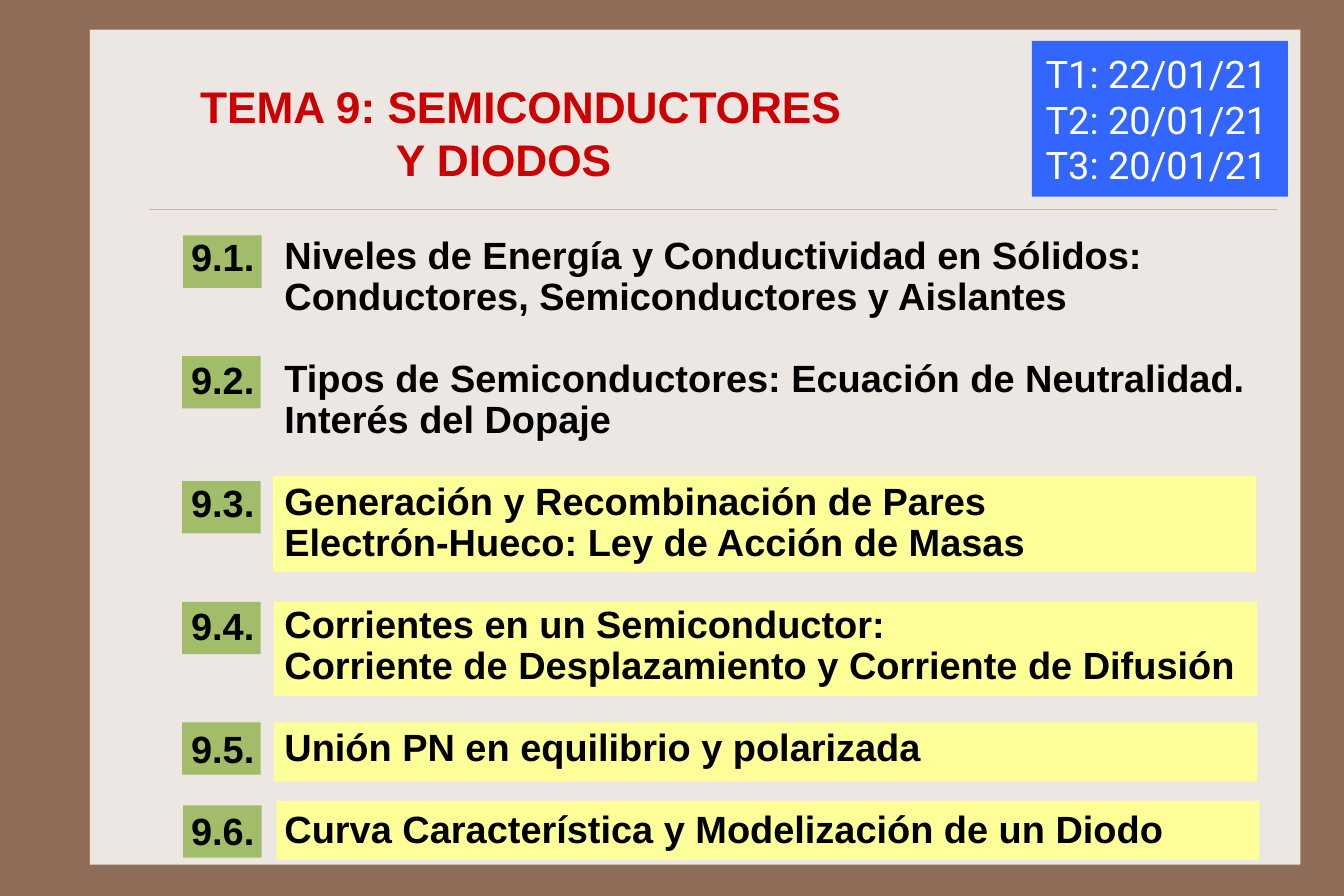
from lxml import etree
from pptx import Presentation
from pptx.dml.color import RGBColor
from pptx.enum.shapes import MSO_CONNECTOR, MSO_SHAPE
from pptx.enum.text import MSO_ANCHOR, MSO_AUTO_SIZE, PP_ALIGN
from pptx.oxml.ns import qn
from pptx.util import Inches, Pt

RECTANGLE = MSO_SHAPE.RECTANGLE
STRAIGHT = MSO_CONNECTOR.STRAIGHT
TOP, MIDDLE = MSO_ANCHOR.TOP, MSO_ANCHOR.MIDDLE
LEFT = PP_ALIGN.LEFT
NO_AUTOFIT = MSO_AUTO_SIZE.NONE

COLORS = {
    "border": "906D58", "page": "EDE7E3", "rule": "CBBD83",
    "title": "CC0000", "text": "000000", "badge": "A1BD69",
    "highlight": "FFFF99", "dates": "3366FF", "dates_text": "FFFFFF",
}
LINE = 26  # points taken by one line of the agenda

# number, free lines above it, topic, badge (left, top),
# highlight (left, top, height), all measured from the corner of the agenda
TOPICS = [
    ("9.1.", 0, ["Niveles de Energía y Conductividad en Sólidos:",
                 "Conductores, Semiconductores y Aislantes"],
     (0.04, 0.04), None),
    ("9.2.", 2, ["Tipos de Semiconductores: Ecuación de Neutralidad. "
                 "Interés del Dopaje"], (0.03, 1.1), None),
    ("9.3.", 2, ["Generación y Recombinación de Pares",
                 "Electrón-Hueco: Ley de Acción de Masas"],
     (0.03, 2.2), (0.83, 2.15, 0.85)),
    ("9.4.", 2, ["Corrientes en un Semiconductor:",
                 "Corriente de Desplazamiento y Corriente de Difusión"],
     (0.03, 3.26), (0.84, 3.26, 0.83)),
    ("9.5.", 2, ["Unión PN en equilibrio y polarizada"],
     (0.03, 4.32), (0.84, 4.32, 0.52)),
    ("9.6.", 1, ["Curva Característica y Modelización de un Diodo"],
     (0.04, 5.05), (0.86, 5.01, 0.52)),
]


def rgb(name):
    return RGBColor.from_string(COLORS[name])


def place(shape, left, top, width, height):
    shape.left, shape.top = Inches(left), Inches(top)
    shape.width, shape.height = Inches(width), Inches(height)


def bring_to_front(shape):
    shape.element.getparent().append(shape.element)


def add_block(slide, left, top, width, height, color):
    """Add a plain filled rectangle."""
    block = slide.shapes.add_shape(RECTANGLE, Inches(left), Inches(top),
                                   Inches(width), Inches(height))
    block.shadow.inherit = False
    block.fill.solid()
    block.fill.fore_color.rgb = rgb(color)
    block.line.fill.background()
    return block


def write(shape, lines, size, color, font="Arial", bold=False, spacing=1.0,
          anchor=TOP, insets=(0.11, 0.05), wrap=True):
    """Write (text, space before in points, left margin in inches) lines."""
    frame = shape.text_frame
    frame.auto_size = NO_AUTOFIT
    frame.word_wrap = wrap
    frame.vertical_anchor = anchor
    frame.margin_left = frame.margin_right = Inches(insets[0])
    frame.margin_top = frame.margin_bottom = Inches(insets[1])
    for index, (text, space_before, margin) in enumerate(lines):
        paragraph = frame.paragraphs[0] if index == 0 else frame.add_paragraph()
        paragraph.text = text
        paragraph.alignment = LEFT
        paragraph.line_spacing = spacing
        paragraph.space_before = Pt(space_before)
        paragraph.space_after = Pt(0)
        properties = paragraph._p.get_or_add_pPr()
        properties.set("marL", str(Inches(margin)))
        properties.set("indent", "0")
        etree.SubElement(properties, qn("a:buNone"))
        paragraph.font.name = font
        paragraph.font.size = Pt(size)
        paragraph.font.bold = bold
        paragraph.font.color.rgb = rgb(color)


def draw_page(slide, left, top, width, height):
    """Draw the bordered page and the rule below its heading."""
    slide.background.fill.solid()
    slide.background.fill.fore_color.rgb = rgb("border")
    add_block(slide, left, top, width, height, "page")
    rule_top = Inches(top + 1.58)
    rule = slide.shapes.add_connector(STRAIGHT, Inches(left + 0.52), rule_top,
                                      Inches(left + width - 0.21), rule_top)
    rule.line.color.rgb = rgb("rule")
    rule.line.width = Pt(0.25)
    etree.SubElement(rule.element.spPr, qn("a:effectLst"))


def draw_title(slide, left, top, width, height):
    title = slide.shapes.title
    place(title, left, top, width, height)
    write(title, [("TEMA 9: SEMICONDUCTORES", 0, 0), ("Y DIODOS", 0, 1.72)],
          size=28, color="title", bold=True, anchor=MIDDLE)
    bring_to_front(title)


def draw_agenda(slide, left, top, width, height):
    """Draw numbered badges beside the topics, some of them highlighted."""
    number_lines, topic_lines = [], []
    for number, free_lines, lines, badge, highlight in TOPICS:
        if highlight:
            x, y, highlight_height = highlight
            add_block(slide, left + x, top + y, 8.64, highlight_height,
                      "highlight")
        add_block(slide, left + badge[0], top + badge[1], 0.69, 0.46, "badge")
        number_lines.append((number, free_lines * LINE, 0))
        for index, line in enumerate(lines):
            starts_topic = topic_lines and index == 0
            topic_lines.append((line, LINE if starts_topic else 0, 0))

    style = {"size": 24, "color": "text", "bold": True, "spacing": 0.9}
    numbers = slide.shapes.add_textbox(Inches(left), Inches(top + 0.02),
                                       Inches(0.77), Inches(height))
    write(numbers, number_lines, wrap=False, **style)
    topics = slide.placeholders[1]
    place(topics, left + 0.82, top, width - 0.82, height)
    write(topics, topic_lines, **style)
    bring_to_front(topics)


def draw_dates(slide, left, top, width, height):
    dates = add_block(slide, left, top, width, height, "dates")
    groups = ["T1: 22/01/21", "T2: 20/01/21", "T3: 20/01/21"]
    write(dates, [(group, 0, 0) for group in groups], size=24,
          color="dates_text", font="Roboto", anchor=MIDDLE,
          insets=(0.12, 0.08), wrap=False)


def main():
    presentation = Presentation()
    presentation.slide_width = Inches(11.8125)
    presentation.slide_height = Inches(7.875)
    slide = presentation.slides.add_slide(presentation.slide_layouts[1])
    draw_page(slide, 0.79, 0.26, 10.64, 7.34)
    draw_title(slide, 1.65, 0.64, 5.97, 1.05)
    draw_agenda(slide, 1.57, 2.03, 9.54, 5.56)
    draw_dates(slide, 9.07, 0.36, 2.25, 1.37)
    presentation.save("out.pptx")


if __name__ == "__main__":
    main()
